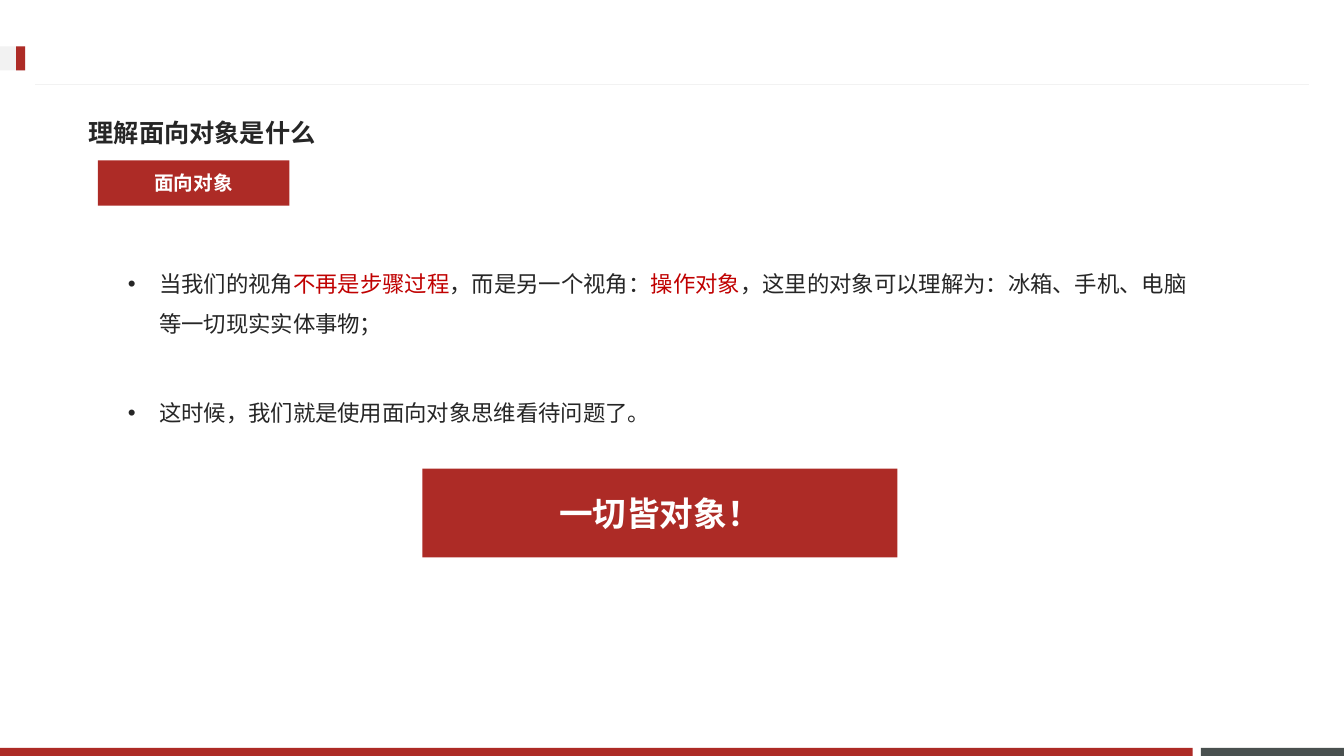
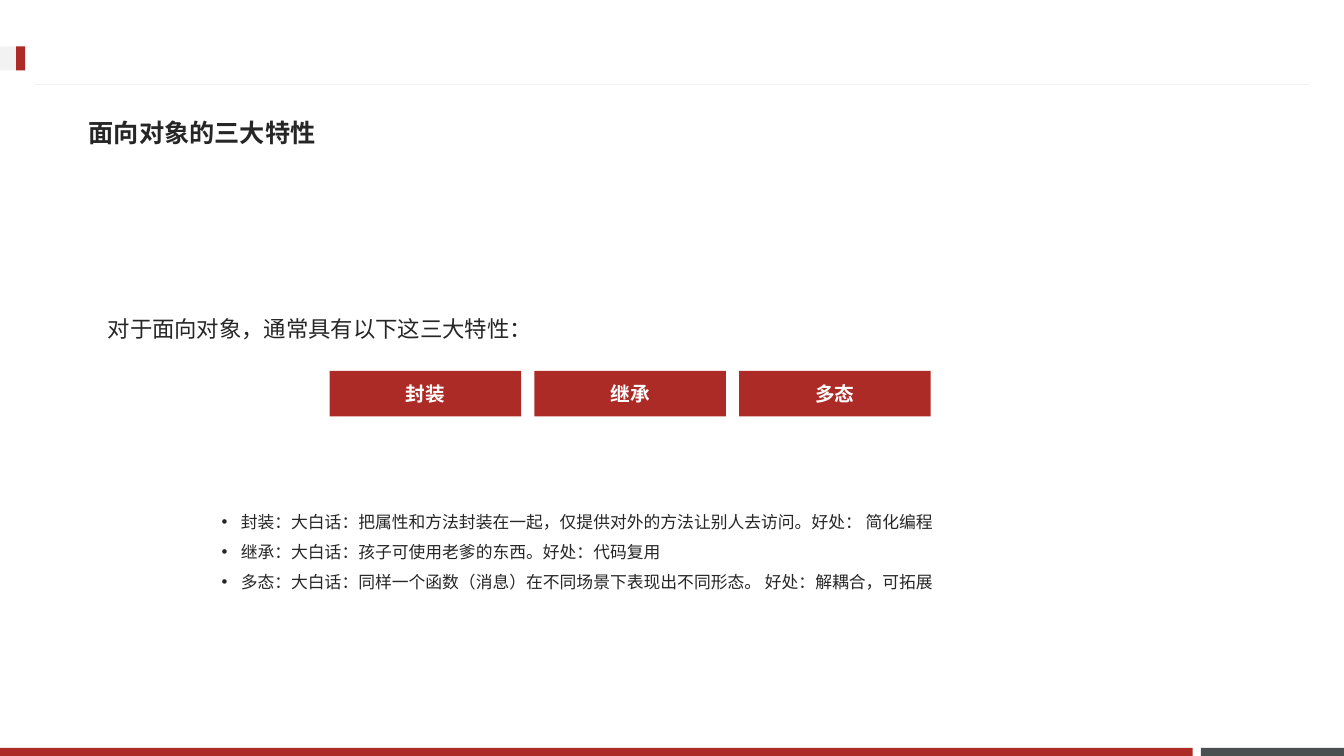
from dataclasses import dataclass

from lxml import etree
from pptx import Presentation
from pptx.dml.color import RGBColor
from pptx.enum.lang import MSO_LANGUAGE_ID
from pptx.enum.shapes import MSO_CONNECTOR, MSO_SHAPE
from pptx.enum.text import MSO_ANCHOR, MSO_AUTO_SIZE, PP_ALIGN
from pptx.oxml.ns import qn
from pptx.util import Inches, Pt

RECTANGLE = MSO_SHAPE.RECTANGLE
STRAIGHT = MSO_CONNECTOR.STRAIGHT
MIDDLE = MSO_ANCHOR.MIDDLE
NO_AUTOFIT = MSO_AUTO_SIZE.NONE
LEFT, CENTER = PP_ALIGN.LEFT, PP_ALIGN.CENTER
CHINESE = MSO_LANGUAGE_ID.SIMPLIFIED_CHINESE

RED, SLATE, PALE = "AD2B26", "49504F", "F2F2F2"
INK, ACCENT, WHITE = "262626", "C00000", "FFFFFF"
CJK_FONT, LATIN_FONT = "Noto Sans CJK JP", "Roboto"
TITLE_ONLY = 5
LINE_FACTOR = 1.79  # line height as a multiple of the text size


@dataclass(frozen=True)
class Area:
    left: float
    top: float
    width: float
    height: float

    def lengths(self):
        return [Inches(v) for v in (self.left, self.top, self.width, self.height)]


@dataclass(frozen=True)
class Span:
    text: str
    color: str = INK


BANDS = (
    (Area(11.91, 7.42, 1.42, 0.08), SLATE),
    (Area(0, 7.42, 11.83, 0.08), RED),
    (Area(0, 0.46, 0.25, 0.24), PALE),
    (Area(0.16, 0.46, 0.09, 0.24), RED),
)
TITLE_AREA = Area(0.78, 1.03, 11.7, 0.57)
BUTTON_WIDTH, BUTTON_HEIGHT, BUTTON_STEP = 1.9, 0.45, 2.03


def rgb(color: str) -> RGBColor:
    return RGBColor.from_string(color)


def add_text(para, text: str, *, size: float, color: str = INK,
             bold: bool = False, font: str = CJK_FONT) -> None:
    run = para.add_run()
    run.text = text
    run.font.size = Pt(size)
    run.font.bold = bold
    run.font.color.rgb = rgb(color)
    run.font.name = font
    run.font.language_id = CHINESE
    latin = run.font._element.find(qn("a:latin"))
    east_asian = etree.Element(qn("a:ea"), typeface=CJK_FONT)
    latin.addnext(east_asian)


def add_bullet(para, indent: float) -> None:
    props = para._p.get_or_add_pPr()
    props.set("marL", str(Inches(indent)))
    props.set("indent", str(-Inches(indent)))
    etree.SubElement(props, qn("a:buFont"), typeface="Arial")
    etree.SubElement(props, qn("a:buChar"), char="•")


def add_rectangle(page, area: Area, color: str):
    box = page.shapes.add_shape(RECTANGLE, *area.lengths())
    box.shadow.inherit = False
    box.fill.solid()
    box.fill.fore_color.rgb = rgb(color)
    box.line.fill.background()
    return box


def add_button(page, area: Area, text: str, size: float = 14) -> None:
    frame = add_rectangle(page, area, RED).text_frame
    frame.vertical_anchor = MIDDLE
    para = frame.paragraphs[0]
    para.alignment = CENTER
    add_text(para, text, size=size, color=WHITE, bold=True, font=LATIN_FONT)


def add_paragraphs(page, area: Area, paragraphs: list[list[Span]], *, size: float,
                   indent: float = 0, gap: float = 0) -> None:
    """Write one paragraph per list of spans; a non-zero indent adds bullets."""
    frame = page.shapes.add_textbox(*area.lengths()).text_frame
    frame.word_wrap = True
    for index, spans in enumerate(paragraphs):
        para = frame.add_paragraph() if index else frame.paragraphs[0]
        if indent:
            add_bullet(para, indent)
        para.line_spacing = Pt(size * LINE_FACTOR)
        para.space_before = Pt(gap if index else 0)
        for span in spans:
            add_text(para, span.text, size=size, color=span.color)


def add_page(deck, title: str):
    """Add a slide with its title, rule and colour bands."""
    page = deck.slides.add_slide(deck.slide_layouts[TITLE_ONLY])
    for area, color in BANDS:
        add_rectangle(page, area, color)
    rule = page.shapes.add_connector(
        STRAIGHT, Inches(12.98), Inches(0.84), Inches(0.35), Inches(0.84))
    rule.line.color.rgb = rgb(PALE)
    rule.line.width = Pt(0.75)
    etree.SubElement(rule._element.spPr, qn("a:effectLst"))

    box = page.shapes.title
    box.left, box.top, box.width, box.height = TITLE_AREA.lengths()
    frame = box.text_frame
    frame.auto_size = NO_AUTOFIT
    frame.vertical_anchor = MIDDLE
    para = frame.paragraphs[0]
    para.alignment = LEFT
    add_text(para, title, size=18, bold=True)
    return page


def build_concept_page(deck) -> None:
    page = add_page(deck, "理解面向对象是什么")
    add_button(page, Area(0.97, 1.59, BUTTON_WIDTH, BUTTON_HEIGHT), "面向对象")
    add_paragraphs(page, Area(1.17, 2.5, 10.77, 2), [
        [Span("当我们的视角"), Span("不再是步骤过程", ACCENT),
         Span("，而是另一个视角："), Span("操作对象", ACCENT),
         Span("，这里的对象可以理解为：冰箱、手机、电脑等一切现实实体事物；")],
        [Span("这时候，我们就是使用面向对象思维看待问题了。")],
    ], size=16, indent=0.31, gap=35)
    add_button(page, Area(4.19, 4.65, 4.71, 0.88), "一切皆对象！", size=24)


def build_features_page(deck) -> None:
    page = add_page(deck, "面向对象的三大特性")
    for index, feature in enumerate(("封装", "继承", "多态")):
        left = 3.27 + index * BUTTON_STEP
        add_button(page, Area(left, 3.68, BUTTON_WIDTH, BUTTON_HEIGHT), feature)
    add_paragraphs(page, Area(0.97, 2.95, 10.36, 0.6),
                   [[Span("对于面向对象，通常具有以下这三大特性：")]], size=16)
    add_paragraphs(page, Area(2.1, 4.93, 9.14, 0.99), [
        [Span("封装：大白话：把属性和方法封装在一起，仅提供对外的方法让别人去访问。好处： 简化编程")],
        [Span("继承：大白话：孩子可使用老爹的东西。好处：代码复用")],
        [Span("多态：大白话：同样一个函数（消息）在不同场景下表现出不同形态。 好处：解耦合，可拓展")],
    ], size=12, indent=0.19)


def main() -> None:
    deck = Presentation()
    deck.slide_width, deck.slide_height = Inches(13.33), Inches(7.5)
    build_concept_page(deck)
    build_features_page(deck)
    deck.save("out.pptx")


if __name__ == "__main__":
    main()
